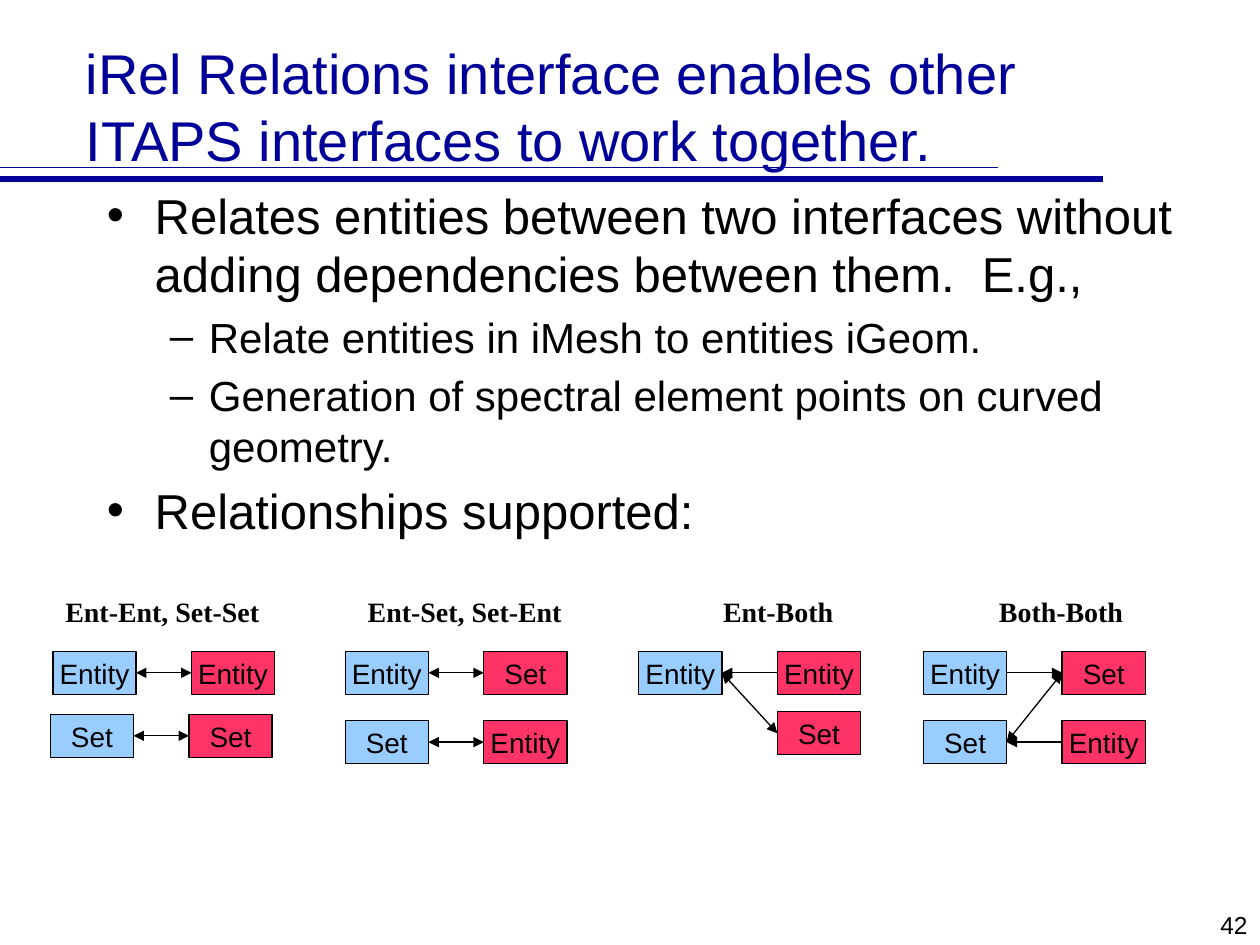
from dataclasses import dataclass

import pptx
import pptx.dml.color
import pptx.enum.shapes
import pptx.enum.text
import pptx.oxml.ns
import pptx.util
from lxml import etree

Inches = pptx.util.Inches
Pt = pptx.util.Pt
Align = pptx.enum.text.PP_ALIGN
Anchor = pptx.enum.text.MSO_ANCHOR
qn = pptx.oxml.ns.qn
TITLE_ONLY = 5
RIGHT_SIDE, LEFT_SIDE = 3, 1


@dataclass(frozen=True)
class Theme:
    navy: str = "000099"
    black: str = "000000"
    blue: str = "99CCFF"
    red: str = "FF3366"
    sans: str = "Arial"
    serif: str = "Times New Roman"
    title: int = 32
    bullet: int = 28
    sub_bullet: int = 24
    label: int = 16
    page: int = 14


@dataclass(frozen=True)
class Relation:
    heading: str
    heading_left: float
    heading_width: float
    left: float
    lower: tuple
    blues: tuple
    reds: tuple
    links: tuple


RELATIONS = (
    Relation("Ent-Ent, Set-Set", 0.42, 1.75, 0.42, (0.40, 5.67),
             ("Entity", "Set"), ("Entity", "Set"),
             ((0, 0, "both"), (1, 1, "both"))),
    Relation("Ent-Set, Set-Ent", 2.82, 1.75, 2.74, (2.74, 5.72),
             ("Entity", "Set"), ("Set", "Entity"),
             ((0, 0, "both"), (1, 1, "both"))),
    Relation("Ent-Both", 5.64, 1.08, 5.07, (5.07, 5.65),
             ("Entity",), ("Entity", "Set"),
             ((0, 1, "both"), (0, 0, "blue"))),
    Relation("Both-Both", 7.83, 1.19, 7.33, (7.33, 5.72),
             ("Entity", "Set"), ("Set", "Entity"),
             ((1, 0, "both"), (0, 0, "red"), (1, 1, "blue"))),
)

POINTS = (
    (0, "Relates entities between two interfaces without adding "
        "dependencies between them.  E.g.,"),
    (1, "Relate entities in iMesh to entities iGeom."),
    (1, "Generation of spectral element points on curved geometry."),
    (0, "Relationships supported:"),
)


class SlideBuilder:
    """Draws themed elements on the current slide."""

    def __init__(self, slide, theme):
        self.slide = slide
        self.theme = theme

    def color(self, value):
        return pptx.dml.color.RGBColor.from_string(value)

    def style(self, paragraph, size, font=None, color=None, bold=False):
        for run in paragraph.runs:
            run.font.size = Pt(size)
            run.font.name = font or self.theme.sans
            run.font.color.rgb = self.color(color or self.theme.black)
            run.font.bold = bold

    def title(self, text, left, top, width, height):
        heading = self.slide.shapes.title
        heading.left, heading.top = Inches(left), Inches(top)
        heading.width, heading.height = Inches(width), Inches(height)
        frame = heading.text_frame
        frame.text = text
        frame.auto_size = pptx.enum.text.MSO_AUTO_SIZE.NONE
        frame.vertical_anchor = Anchor.BOTTOM
        frame.paragraphs[0].alignment = Align.LEFT
        self.style(frame.paragraphs[0], self.theme.title, color=self.theme.navy)

    def text(self, text, left, top, width, height, size, font=None,
             bold=False, align=Align.LEFT, wrap=True):
        frame = self.slide.shapes.add_textbox(
            Inches(left), Inches(top), Inches(width), Inches(height)).text_frame
        frame.word_wrap = wrap
        frame.text = text
        frame.paragraphs[0].alignment = align
        self.style(frame.paragraphs[0], size, font, bold=bold)

    def bullets(self, points, left, top, width, height):
        frame = self.slide.shapes.add_textbox(
            Inches(left), Inches(top), Inches(width), Inches(height)).text_frame
        frame.word_wrap = True
        levels = ((self.theme.bullet, "•", 0.38, -0.38),
                  (self.theme.sub_bullet, "–", 0.81, -0.31))
        for index, (level, text) in enumerate(points):
            paragraph = frame.add_paragraph() if index else frame.paragraphs[0]
            size, mark, margin, indent = levels[level]
            paragraph.text = text
            paragraph.level = level
            if index:
                paragraph.space_before = Pt(size * 0.2)
            properties = paragraph._p.get_or_add_pPr()
            properties.set("marL", str(Inches(margin)))
            properties.set("indent", str(Inches(indent)))
            etree.SubElement(properties, qn("a:buFont"), typeface=self.theme.sans)
            etree.SubElement(properties, qn("a:buChar"), char=mark)
            self.style(paragraph, size)

    def box(self, text, left, top, fill):
        node = self.slide.shapes.add_shape(
            pptx.enum.shapes.MSO_SHAPE.RECTANGLE,
            Inches(left), Inches(top), Inches(0.66), Inches(0.34))
        node.shadow.inherit = False
        node.fill.solid()
        node.fill.fore_color.rgb = self.color(fill)
        node.line.color.rgb = self.color(self.theme.black)
        node.line.width = Pt(0.75)
        frame = node.text_frame
        frame.word_wrap = False
        frame.vertical_anchor = Anchor.MIDDLE
        frame.text = text
        frame.paragraphs[0].alignment = Align.CENTER
        self.style(frame.paragraphs[0], self.theme.label)
        return node

    def line(self, start, end, color, width):
        connector = self.slide.shapes.add_connector(
            pptx.enum.shapes.MSO_CONNECTOR.STRAIGHT,
            *(Inches(value) for value in (*start, *end)))
        connector.line.color.rgb = self.color(color)
        connector.line.width = Pt(width)
        etree.SubElement(connector._element.spPr, qn("a:effectLst"))
        return connector

    def link(self, blue, red, arrows):
        connector = self.line((0, 0), (0, 0), self.theme.black, 0.75)
        connector.begin_connect(blue, RIGHT_SIDE)
        connector.end_connect(red, LEFT_SIDE)
        outline = connector.line._get_or_add_ln()
        for side, tag in (("blue", "a:headEnd"), ("red", "a:tailEnd")):
            if arrows in (side, "both"):
                etree.SubElement(outline, qn(tag), type="triangle")

    def relation(self, relation):
        self.text(relation.heading, relation.heading_left, 4.67,
                  relation.heading_width, 0.37, self.theme.label,
                  self.theme.serif, bold=True, wrap=False)
        rows = ((relation.left, 5.17), relation.lower)
        blues = [self.box(text, left, top, self.theme.blue)
                 for text, (left, top) in zip(relation.blues, rows)]
        reds = [self.box(text, left + 1.1, top, self.theme.red)
                for text, (left, top) in zip(relation.reds, rows)]
        for blue, red, arrows in relation.links:
            self.link(blues[blue], reds[red], arrows)


def main():
    deck = pptx.Presentation()
    deck.slide_width, deck.slide_height = Inches(10), Inches(7.5)
    theme = Theme()
    builder = SlideBuilder(
        deck.slides.add_slide(deck.slide_layouts[TITLE_ONLY]), theme)
    builder.line((0, 1.33), (7.92, 1.33), theme.navy, 1)
    builder.line((0, 1.42), (8.75, 1.42), theme.navy, 3)
    builder.title("iRel Relations interface enables other ITAPS interfaces "
                  "to work together.", 0.58, 0.17, 8.5, 1.25)
    builder.bullets(POINTS, 0.75, 1.42, 8.83, 4.5)
    for relation in RELATIONS:
        builder.relation(relation)
    builder.text("42", 7.92, 7.17, 2.08, 0.33, theme.page, align=Align.RIGHT)
    deck.save("out.pptx")


if __name__ == "__main__":
    main()
